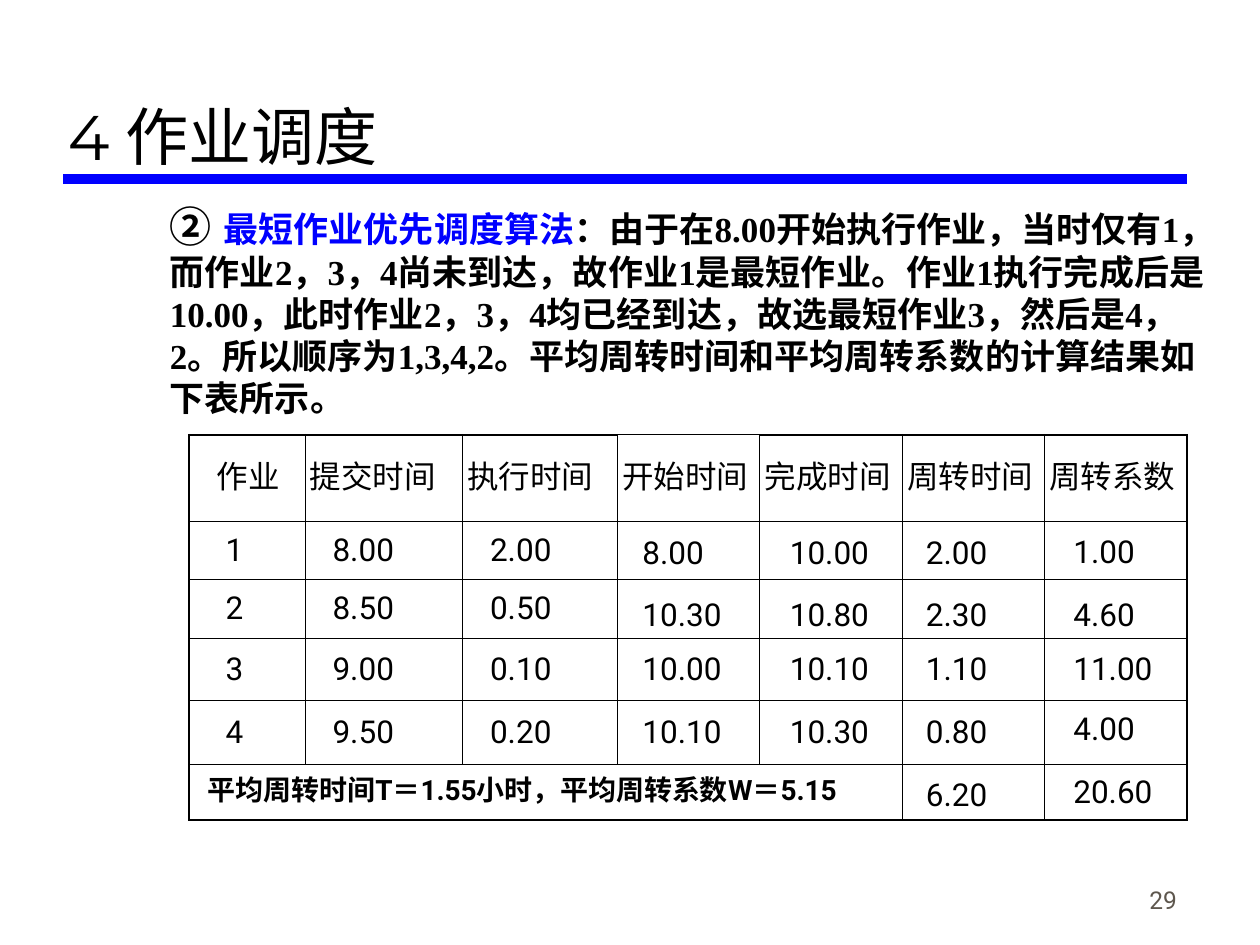
"""Build the job scheduling slide with its shortest-job-first results table."""
import dataclasses

import lxml.etree
import pptx
import pptx.dml.color
import pptx.enum.shapes
import pptx.enum.text
import pptx.oxml.ns
import pptx.util

Inches = pptx.util.Inches
Pt = pptx.util.Pt
Anchor = pptx.enum.text.MSO_ANCHOR
Align = pptx.enum.text.PP_ALIGN


@dataclasses.dataclass(frozen=True)
class Theme:
    black: str = "000000"
    blue: str = "0000FF"
    grey: str = "5E574E"
    heading_font: str = "Montserrat"
    body_font: str = "Times New Roman"
    data_font: str = "Roboto"
    title_size: int = 36
    number_size: int = 24
    body_size: int = 20
    data_size: int = 18
    summary_size: int = 16
    page_size: int = 14
    rule_width: float = 6
    thick_border: float = 1.08
    thin_border: float = 0.45


def add_text(paragraph, text, *, size, font, color, bold=False, east_asian=None):
    run = paragraph.add_run()
    run.text = text
    run.font.size = Pt(size)
    run.font.bold = bold
    run.font.name = font
    run.font.color.rgb = pptx.dml.color.RGBColor.from_string(color)
    lxml.etree.SubElement(run.font._element, pptx.oxml.ns.qn("a:ea"),
                          typeface=east_asian or font)


class SlideBuilder:
    def __init__(self, slide, theme):
        self.slide = slide
        self.theme = theme

    def rule(self, left, right, y):
        rule = self.slide.shapes.add_connector(
            pptx.enum.shapes.MSO_CONNECTOR.STRAIGHT,
            Inches(left), Inches(y), Inches(right), Inches(y))
        rule.line.color.rgb = pptx.dml.color.RGBColor.from_string(self.theme.blue)
        rule.line.width = Pt(self.theme.rule_width)
        lxml.etree.SubElement(rule._element.spPr, pptx.oxml.ns.qn("a:effectLst"))

    def text_box(self, left, top, width, height, runs, *, anchor=Anchor.TOP,
                 align=Align.LEFT, margin_left=0.1, grow=False):
        frame = self.slide.shapes.add_textbox(
            Inches(left), Inches(top), Inches(width), Inches(height)).text_frame
        frame.word_wrap = True
        frame.vertical_anchor = anchor
        frame.margin_left = Inches(margin_left)
        if grow:
            frame.auto_size = pptx.enum.text.MSO_AUTO_SIZE.SHAPE_TO_FIT_TEXT
        paragraph = frame.paragraphs[0]
        paragraph.alignment = align
        for text, style in runs:
            add_text(paragraph, text, **style)

    def border(self, cell, side, width):
        qn = pptx.oxml.ns.qn
        line = lxml.etree.SubElement(cell._tc.get_or_add_tcPr(), qn(f"a:ln{side}"),
                                     w=str(int(Pt(width))))
        fill = lxml.etree.SubElement(line, qn("a:solidFill"))
        lxml.etree.SubElement(fill, qn("a:srgbClr"), val=self.theme.black)

    def table(self, left, top, widths, heights, rows, indents, thin_cells, style):
        table = self.slide.shapes.add_table(
            len(heights), len(widths), Inches(left), Inches(top),
            Inches(sum(widths)), Inches(sum(heights))).table
        table.first_row = table.horz_banding = False
        for column, width in zip(table.columns, widths):
            column.width = Inches(width)
        for row, height in zip(table.rows, heights):
            row.height = Inches(height)
        last_row, last_column = len(heights) - 1, len(widths) - 1
        for r in range(len(heights)):
            for c in range(len(widths)):
                cell = table.cell(r, c)
                outer = {"L": c == 0, "R": c == last_column,
                         "T": r == 0, "B": r == last_row}
                for side, is_outer in outer.items():
                    thick = is_outer and (r, c) not in thin_cells
                    self.border(cell, side, self.theme.thick_border if thick
                                else self.theme.thin_border)
                cell.fill.background()
                cell.vertical_anchor = Anchor.MIDDLE
                cell.margin_left = Inches(indents.get((r > 0, c), 0.04))
                cell.margin_right = Inches(0.04)
                if r < len(rows) and c < len(rows[r]):
                    add_text(cell.text_frame.paragraphs[0], rows[r][c], **style)
        return table


def main():
    theme = Theme()
    presentation = pptx.Presentation()
    presentation.slide_width, presentation.slide_height = Inches(10), Inches(7.5)
    builder = SlideBuilder(
        presentation.slides.add_slide(presentation.slide_layouts[6]), theme)

    heading = dict(size=theme.title_size, font=theme.heading_font, color=theme.black)
    body = dict(size=theme.body_size, font=theme.body_font, color=theme.black,
                bold=True, east_asian=theme.heading_font)
    data = dict(size=theme.data_size, font=theme.data_font, color=theme.black)
    summary = data | dict(size=theme.summary_size, bold=True)
    page = data | dict(size=theme.page_size, color=theme.grey)

    builder.rule(0.5, 9.42, 1.42)
    builder.text_box(7.36, 6.81, 2.08, 0.5, [("29", page)],
                     anchor=Anchor.BOTTOM, align=Align.RIGHT)
    builder.text_box(0.44, 0.17, 8.97, 1.25, [("4 作业调度", heading)],
                     anchor=Anchor.BOTTOM)
    builder.text_box(1.25, 1.54, 8.5, 1.87, [
        ("② ", body | dict(size=theme.number_size)),
        ("最短作业优先调度算法", body | dict(color=theme.blue)),
        ("：由于在8.00开始执行作业，当时仅有1，而作业2，3，4尚未到达，"
         "故作业1是最短作业。作业1执行完成后是10.00，此时作业2，3，4均已经到达，"
         "故选最短作业3，然后是4，2。所以顺序为1,3,4,2。"
         "平均周转时间和平均周转系数的计算结果如下表所示。", body),
    ])

    jobs = [
        ["作业", "提交时间", "执行时间", "开始时间", "完成时间", "周转时间", "周转系数"],
        ["1", "8.00", "2.00"],
        ["2", "8.50", "0.50"],
        ["3", "9.00", "0.10"],
        ["4", "9.50", "0.20"],
    ]
    indents = {(False, 0): 0.22, (True, 0): 0.29, (True, 1): 0.22, (True, 2): 0.22}
    schedule = builder.table(
        1.5, 3.45, [0.92, 1.25, 1.23] + [1.13] * 4,
        [0.69, 0.46, 0.47, 0.49, 0.51, 0.44], jobs, indents, {(0, 3)}, data)
    schedule.cell(5, 0).merge(schedule.cell(5, 4))

    row_tops = [4.18, 4.67, 5.1, 5.6, 6.1]
    results = [
        (5, row_tops, ["8.00", "10.30", "10.00", "10.10"]),
        (6.17, row_tops, ["10.00", "10.80", "10.10", "10.30"]),
        (7.25, row_tops, ["2.00", "2.30", "1.10", "0.80", "6.20"]),
        (8.42, [4.17, 4.67, 5.1, 5.58, 6.08],
         ["1.00", "4.60", "11.00", "4.00", "20.60"]),
    ]
    for left, tops, values in results:
        for top, value in zip(tops, values):
            width = 0.92 if len(value) > 4 else 0.75
            builder.text_box(left, top, width, 0.4, [(value, data)], grow=True)

    builder.text_box(1.5, 6.08, 5.83, 0.37,
                     [("平均周转时间T＝1.55小时，平均周转系数W＝5.15", summary)],
                     margin_left=0.15, grow=True)
    presentation.save("out.pptx")


if __name__ == "__main__":
    main()
